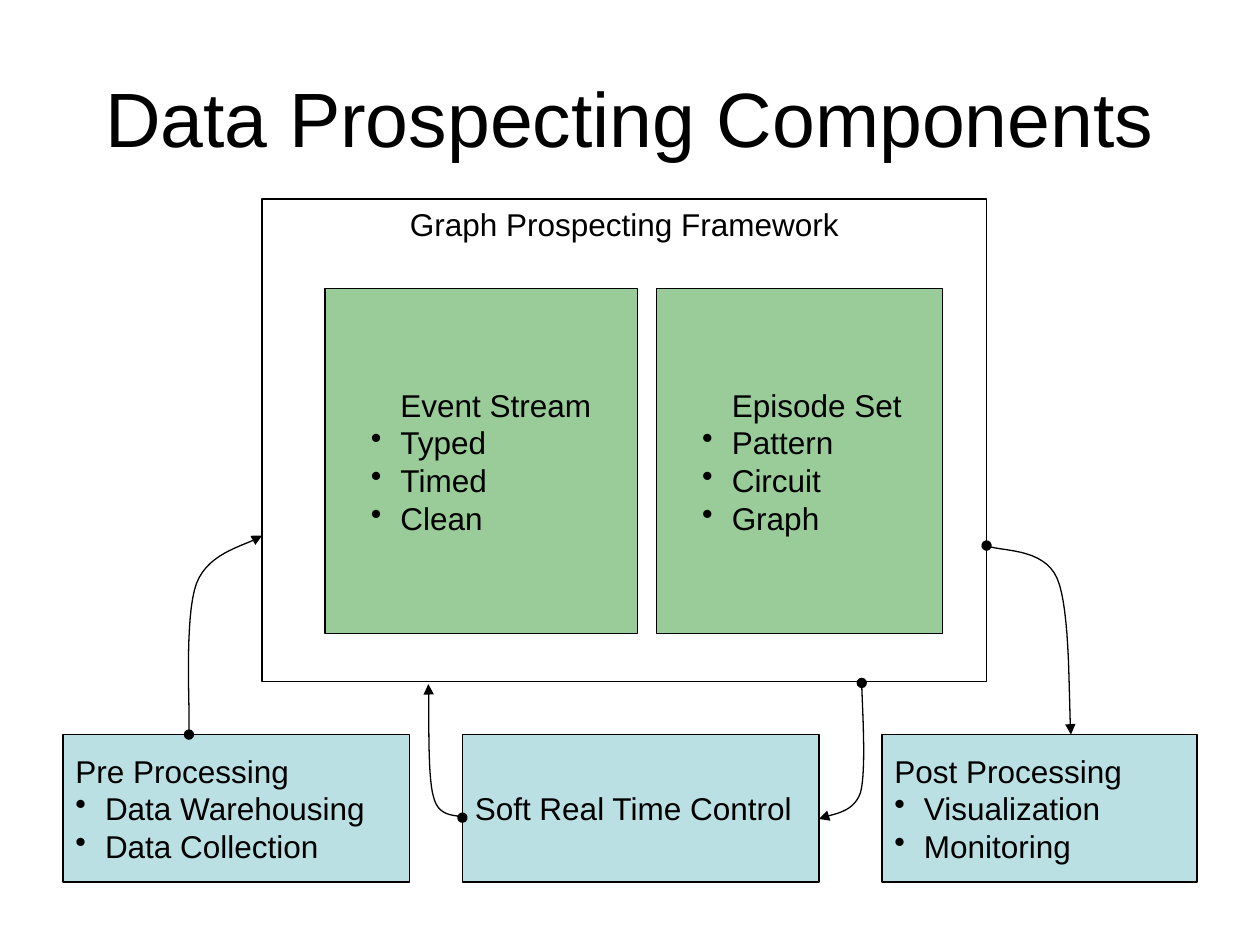
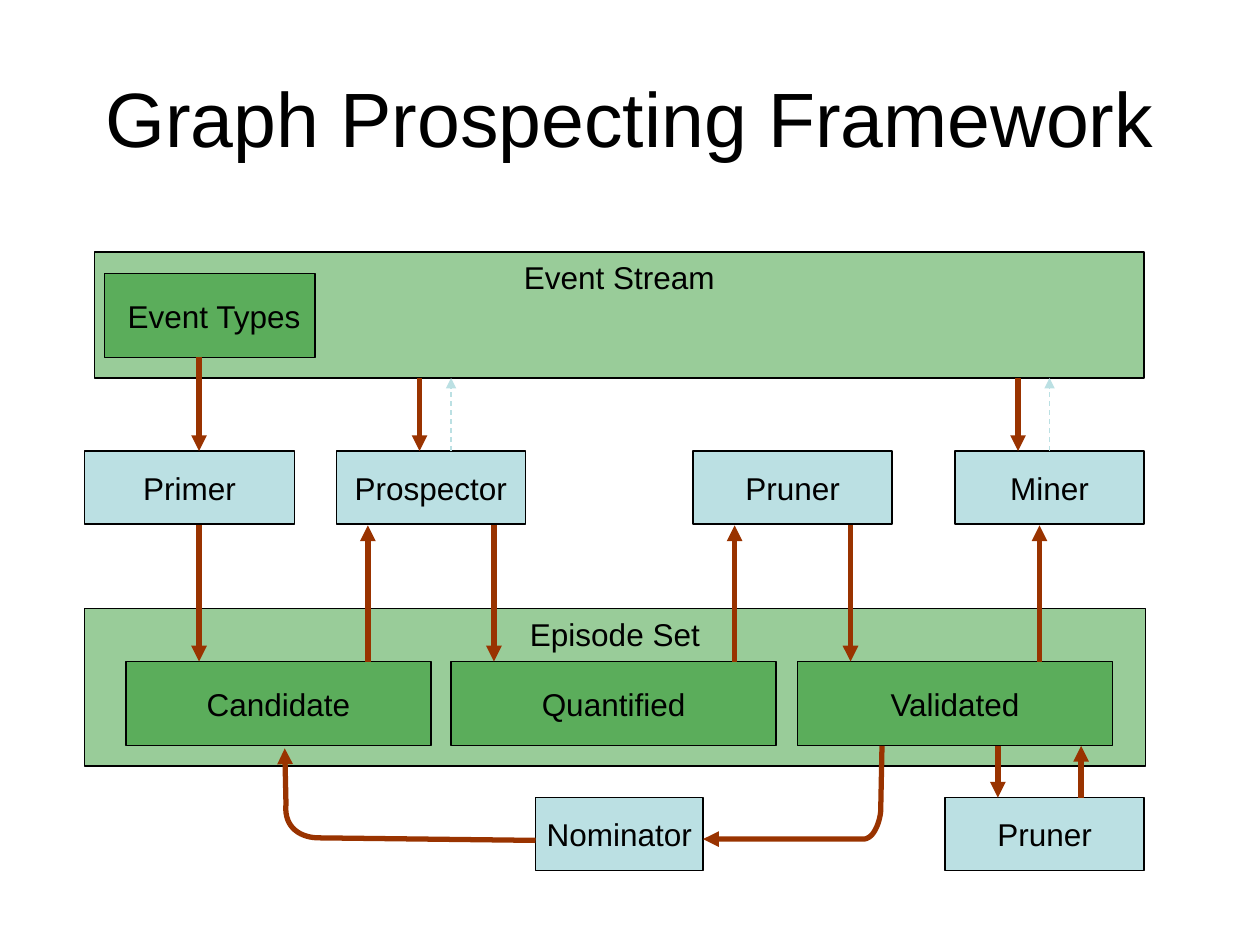
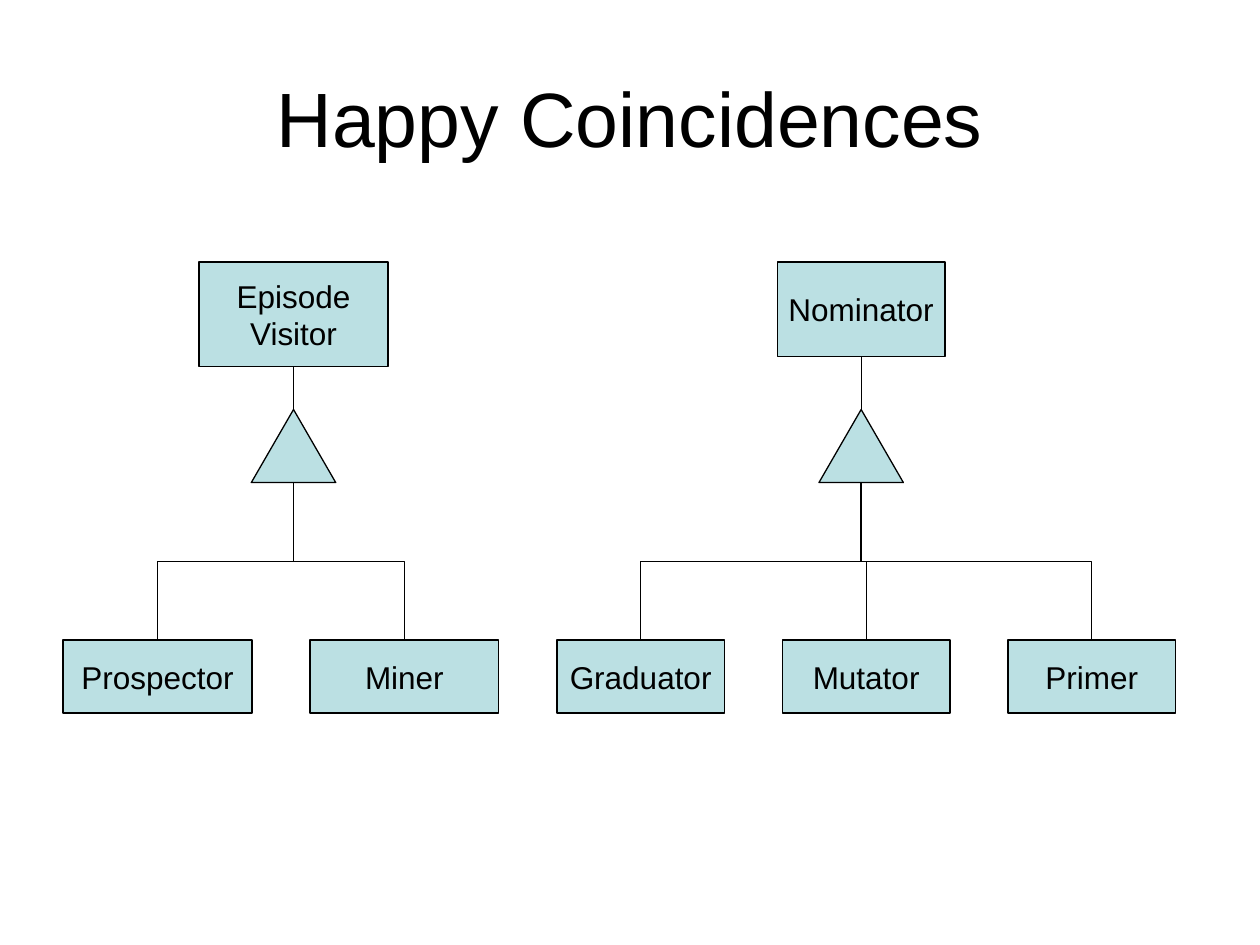
from dataclasses import dataclass
from lxml import etree
from pptx import Presentation
from pptx.dml.color import RGBColor
from pptx.enum.dml import MSO_LINE
from pptx.enum.shapes import MSO_CONNECTOR, MSO_SHAPE
from pptx.enum.text import MSO_ANCHOR, PP_ALIGN
from pptx.oxml.ns import qn
from pptx.util import Inches, Pt

RECT, TRIANGLE = MSO_SHAPE.RECTANGLE, MSO_SHAPE.ISOSCELES_TRIANGLE
STRAIGHT, ELBOW = MSO_CONNECTOR.STRAIGHT, MSO_CONNECTOR.ELBOW
LEFT, CENTER = PP_ALIGN.LEFT, PP_ALIGN.CENTER
TOP, MIDDLE = MSO_ANCHOR.TOP, MSO_ANCHOR.MIDDLE
DASH = MSO_LINE.DASH


@dataclass(frozen=True)
class Theme:
    font: str = "Arial"
    title_size: int = 44
    body_size: int = 18
    ink: RGBColor = RGBColor(0x00, 0x00, 0x00)
    green: RGBColor = RGBColor(0x00, 0x80, 0x00)
    blue: RGBColor = RGBColor(0xBB, 0xE0, 0xE3)
    rust: RGBColor = RGBColor(0x99, 0x33, 0x00)
    green_alpha: int = 40000
    thin: float = 0.75
    thick: float = 3
    hanging: float = 0.235


T = Theme()


def add_box(s, at, text="", fill=None, anchor=MIDDLE, align=CENTER, indent=0, kind=RECT):
    """Outlined shape; in left-aligned text every line after the first is a bullet."""
    sp = s.shapes.add_shape(kind, *map(Inches, at))
    sp.shadow.inherit = False
    sp.line.color.rgb = T.ink
    sp.line.width = Pt(T.thin)
    if fill is None:
        sp.fill.background()
    else:
        sp.fill.solid()
        sp.fill.fore_color.rgb = fill
    if fill == T.green:
        color = sp._element.spPr.find(qn("a:solidFill"))[0]
        etree.SubElement(color, qn("a:alpha"), val=str(T.green_alpha))
    tf = sp.text_frame
    tf.text = text
    tf.word_wrap = align == LEFT
    tf.vertical_anchor = anchor
    for i, p in enumerate(tf.paragraphs):
        p.alignment = align
        p.font.name, p.font.size = T.font, Pt(T.body_size)
        p.font.color.rgb = T.ink
        for r in p.runs:
            r.font.name, r.font.size = T.font, Pt(T.body_size)
            r.font.color.rgb = T.ink
        if align == LEFT:
            bulleted = i > 0
            margin = indent or (T.hanging if bulleted else 0)
            pPr = p._p.get_or_add_pPr()
            pPr.set("marL", str(Inches(margin)))
            pPr.set("indent", str(Inches(-T.hanging) if bulleted else 0))
            if bulleted:
                bullet = etree.Element(qn("a:buChar"), char="•")
                defaults = pPr.find(qn("a:defRPr"))
                defaults.addprevious(bullet)
    return sp


def style_line(sp, color=T.ink, width=T.thin, head=None, tail=None, dash=None):
    sp.line.color.rgb = color
    sp.line.width = Pt(width)
    if dash:
        sp.line.dash_style = dash
    ln = sp.line._get_or_add_ln()
    for tag, end in (("a:headEnd", head), ("a:tailEnd", tail)):
        if end:
            etree.SubElement(ln, qn(tag), type=end)
    etree.SubElement(sp._element.spPr, qn("a:effectLst"))


prs = Presentation()
prs.slide_width, prs.slide_height = Inches(10), Inches(7.5)
slides = []
for title in ("Data Prospecting Components", "Graph Prospecting Framework", "Happy Coincidences"):
    s = prs.slides.add_slide(prs.slide_layouts[6])
    tf = s.shapes.add_textbox(*map(Inches, (0.5, 0.3, 9, 1.25))).text_frame
    tf.word_wrap = True
    tf.vertical_anchor = MIDDLE
    tf.text = title
    p = tf.paragraphs[0]
    p.alignment = CENTER
    r = p.runs[0]
    r.font.name, r.font.size = T.font, Pt(T.title_size)
    r.font.color.rgb = T.ink
    slides.append(s)
components, framework, coincidences = slides

# Slide 1: components
for left, width, text in (
    (2.58, 2.48, "Event Stream\nTyped\nTimed\nClean"),
    (5.21, 2.27, "Episode Set\nPattern\nCircuit\nGraph"),
):
    add_box(components, (left, 2.29, width, 2.74), text, T.green, align=LEFT, indent=0.5)
add_box(components, (2.08, 1.58, 5.75, 3.83), "Graph Prospecting Framework", anchor=TOP)
for left, width, text in (
    (0.5, 2.75, "Pre Processing\nData Warehousing\nData Collection"),
    (3.67, 2.83, "Soft Real Time Control"),
    (7, 2.5, "Post Processing\nVisualization\nMonitoring"),
):
    add_box(components, (left, 5.83, width, 1.17), text, T.blue, align=LEFT)

# Slide 2: stores, stages and the arrows between them
add_box(framework, (0.75, 2, 8.33, 1), "Event Stream", T.green, TOP)
add_box(framework, (0.67, 4.83, 8.42, 1.25), "Episode Set", T.green, TOP)
add_box(framework, (0.83, 2.17, 1.67, 0.67), " Event Types", T.green)
for left, width, text in ((1, 2.42, "Candidate"), (3.58, 2.58, "Quantified"), (6.33, 2.5, "Validated")):
    add_box(framework, (left, 5.25, width, 0.67), text, T.green)
stages = {}
for left, top, width, text in (
    (0.67, 3.58, 1.67, "Primer"),
    (2.67, 3.58, 1.5, "Prospector"),
    (5.5, 3.58, 1.58, "Pruner"),
    (7.58, 3.58, 1.5, "Miner"),
    (4.25, 6.33, 1.33, "Nominator"),
    (7.5, 6.33, 1.58, "Pruner"),
):
    stages[text] = add_box(framework, (left, top, width, 0.58), text, T.blue)

for x, y_from, y_to in (
    (1.58, 2.83, 3.58), (3.33, 3, 3.58), (8.08, 3, 3.58),
    (1.58, 4.17, 5.25), (3.92, 4.17, 5.25), (6.75, 4.17, 5.25),
    (2.92, 5.25, 4.17), (5.83, 5.25, 4.17), (8.25, 5.25, 4.17),
    (7.92, 5.92, 6.33), (8.58, 6.33, 5.92),
):
    c = framework.shapes.add_connector(STRAIGHT, *map(Inches, (x, y_from, x, y_to)))
    style_line(c, T.rust, T.thick, tail="triangle")
for x in (3.58, 8.33):
    c = framework.shapes.add_connector(STRAIGHT, *map(Inches, (x, 3.58, x, 3)))
    style_line(c, T.blue, tail="triangle", dash=DASH)
c.begin_connect(stages["Miner"], 0)

# Curved arrows: a step of two numbers is straight, a step of six is a cubic curve
flow = dict(head="oval", tail="triangle")
loop = dict(color=T.rust, width=T.thick, tail="triangle")
CURVE_STEPS = 16
for s, style, start, *steps in (
    (components, flow, (1.5, 5.83), (1.51, 5.63, 1.46, 4.9, 1.56, 4.63), (1.66, 4.37, 1.97, 4.33, 2.08, 4.25)),
    (components, flow, (7.83, 4.33), (7.93, 4.38, 8.28, 4.34, 8.39, 4.59), (8.5, 4.84, 8.48, 5.58, 8.5, 5.83)),
    (components, flow, (6.84, 5.42), (6.84, 5.56, 6.88, 6.11, 6.83, 6.29), (6.77, 6.47, 6.57, 6.46, 6.5, 6.5)),
    (components, flow, (3.67, 6.49), (3.63, 6.46, 3.48, 6.5, 3.44, 6.32), (3.39, 6.15, 3.41, 5.62, 3.4, 5.43)),
    (framework, loop, (7, 5.92), (6.99, 6.43), (6.99, 6.48, 6.95, 6.67, 6.84, 6.66), (5.58, 6.66)),
    (framework, loop, (4.25, 6.67), (2.53, 6.65), (2.4, 6.65, 2.25, 6.58, 2.27, 6.38), (2.26, 5.94)),
):
    points = [start]
    for step in steps:
        if len(step) == 2:
            points.append(step)
            continue
        a, b, c, d = points[-1], step[:2], step[2:4], step[4:]
        for i in range(1, CURVE_STEPS + 1):
            t = i / CURVE_STEPS
            u = 1 - t
            points.append(tuple(
                u**3 * a[k] + 3 * u * u * t * b[k] + 3 * u * t * t * c[k] + t**3 * d[k] for k in (0, 1)
            ))
    points = [(Inches(x), Inches(y)) for x, y in points]
    builder = s.shapes.build_freeform(*points[0])
    builder.add_line_segments(points[1:], close=False)
    sp = builder.convert_to_shape()
    sp.fill.background()
    style_line(sp, **style)

# Slide 3: two inheritance trees
CHILD_TOP, FORK_TOP = 5.08, 3.83
for parent, parent_at, first_left, pitch, width, children in (
    ("Episode\nVisitor", (1.58, 2.08, 1.5, 0.83), 0.5, 1.96, 1.5, ("Prospector", "Miner")),
    ("Nominator", (6.17, 2.08, 1.33, 0.75), 4.42, 1.79, 1.33, ("Graduator", "Mutator", "Primer")),
):
    center = parent_at[0] + parent_at[2] / 2
    base = add_box(coincidences, parent_at, parent, T.blue)
    triangle = add_box(coincidences, (center - 0.335, 3.25, 0.67, 0.58), fill=T.blue, kind=TRIANGLE)
    c = coincidences.shapes.add_connector(STRAIGHT, 0, 0, 0, 0)
    c.begin_connect(base, 2)
    c.end_connect(triangle, 0)
    style_line(c)
    for i, child in enumerate(children):
        left = first_left + i * pitch
        add_box(coincidences, (left, CHILD_TOP, width, 0.58), child, T.blue)
        # The elbow is laid out sideways around its middle, then turned to run downwards
        dx = left + width / 2 - center
        mid_x, mid_y = center + dx / 2, (FORK_TOP + CHILD_TOP) / 2
        half_w, half_h = (CHILD_TOP - FORK_TOP) / 2, abs(dx) / 2
        side = 1 if dx > 0 else -1
        c = coincidences.shapes.add_connector(ELBOW, *map(Inches, (
            mid_x + side * half_w, mid_y - half_h, mid_x - side * half_w, mid_y + half_h)))
        c._element.spPr.find(qn("a:xfrm")).set("rot", str((270 if dx > 0 else 90) * 60000))
        style_line(c)

prs.save("out.pptx")
